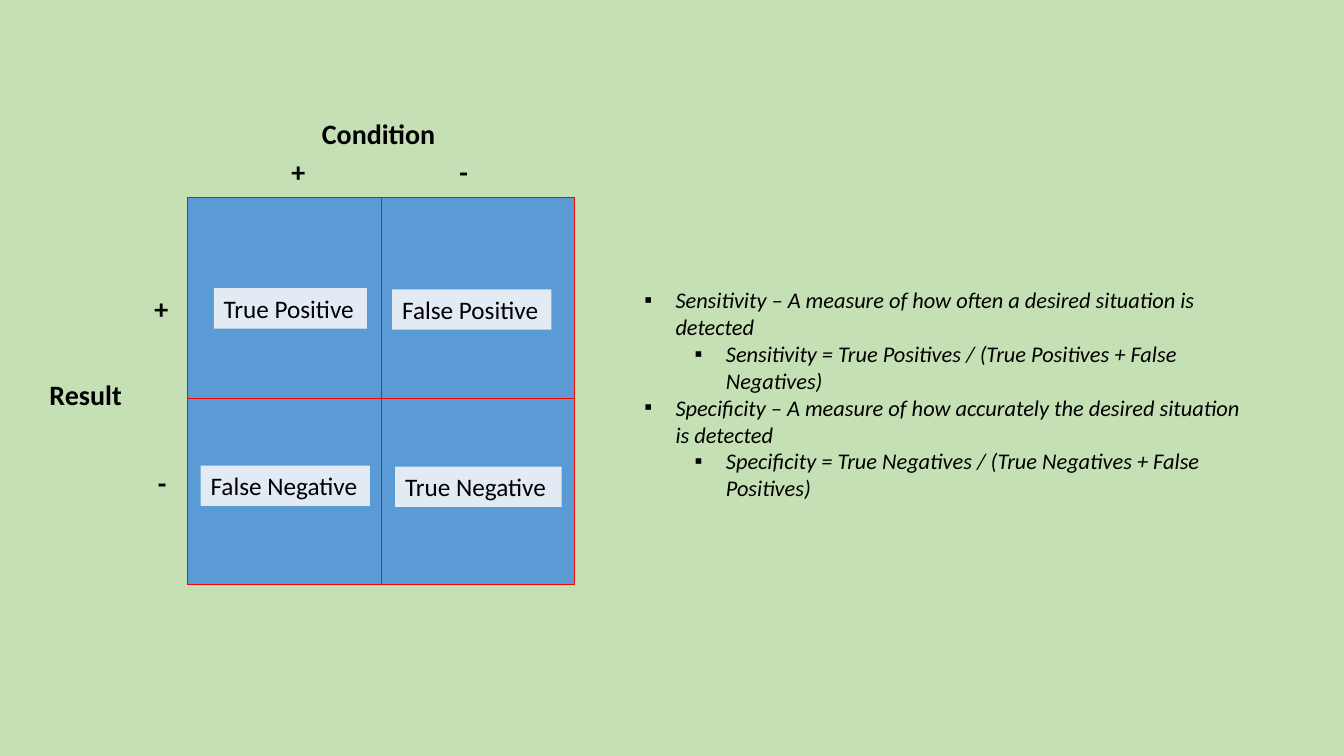
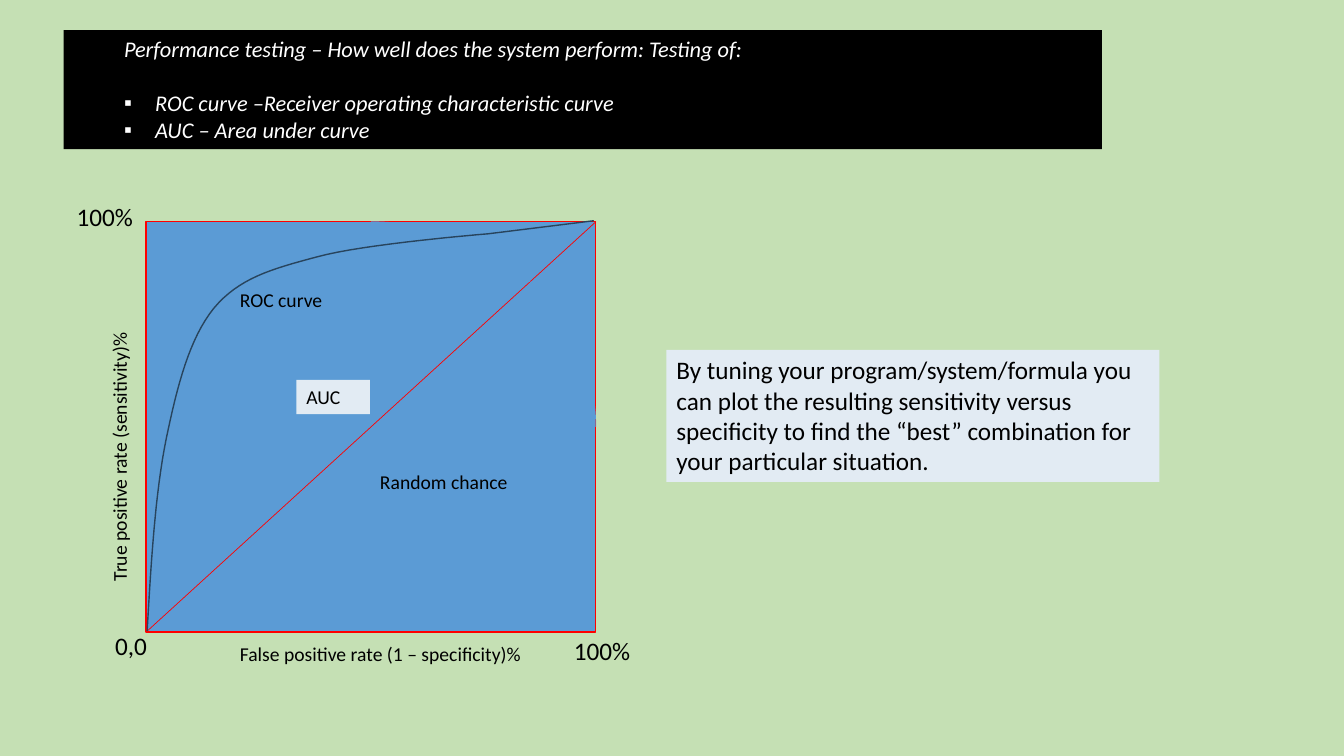
import lxml.etree
import pptx
import pptx.dml.color
import pptx.enum.shapes
import pptx.enum.text
import pptx.oxml.ns
import pptx.util

SHAPE = pptx.enum.shapes.MSO_SHAPE
ALIGN = pptx.enum.text.PP_ALIGN
INCH = pptx.util.Inches

# Shared look
FONT = "Calibri"
GREEN, BLUE, PALE, RED = "C5E0B4", "5B9BD5", "E2EBF3", "FF0000"
BLACK, WHITE, CURVE_COLOUR = "000000", "FFFFFF", "28445D"
LABEL_HEIGHT, SMALL_HEIGHT = 0.4, 0.34
LINE_HEIGHT = 19.5  # one line of 16 pt text, in points

# Slide 1 content: label positions are left, top, width
MATRIX = (1.86, 1.96, 3.84, 3.84)
FIRST_COLUMN, FIRST_ROW = 1.92, 1.99
AXIS_LABELS = [
    ("Condition", 2.78, 1.11, 1.95),
    ("+", 2.58, 1.48, 0.76),
    ("-", 4.22, 1.48, 0.76),
    ("Result", 0.17, 3.7, 1.36),
    ("+", 1.22, 2.84, 0.76),
    ("-", 1.23, 4.57, 0.76),
]
OUTCOMES = [
    ("True Positive", 2.12, 2.86, 1.52),
    ("False Positive", 3.89, 2.87, 1.58),
    ("False Negative", 1.99, 4.62, 1.68),
    ("True Negative", 3.92, 4.63, 1.65),
]
# List items: level, text, bulleted
DEFINITIONS = [
    (0, "Sensitivity – A measure of how often a desired situation is detected", True),
    (1, "Sensitivity = True Positives / (True Positives + False Negatives)", True),
    (0, "Specificity – A measure of how accurately the desired situation is detected", True),
    (1, "Specificity = True Negatives / (True Negatives + False Positives)", True),
]

# Slide 2 content
TESTING = [
    (0, "Performance testing – How well does the system perform: Testing of:", False),
    (0, "ROC curve –Receiver operating characteristic curve", True),
    (0, "AUC – Area under curve", True),
]
PLOT = (1.45, 2.2, 4.46, 4.07)
CURVE_START = (1.46, 6.26)
CURVE_SEGMENTS = [
    ((1.5, 5.57), (1.54, 4.89), (1.65, 4.35)),
    ((1.76, 3.82), (1.88, 3.36), (2.12, 3.06)),
    ((2.37, 2.76), (2.69, 2.67), (3.14, 2.55)),
    ((3.6, 2.42), (4.84, 2.32), (4.84, 2.32)),
]
CURVE_END = (5.89, 2.19)
PLOT_LABELS = [
    ("Random chance", (3.67, 4.61, 1.55), {}),
    ("AUC", (2.94, 3.77, 0.73), {"fill": PALE}),
    ("ROC curve", (2.28, 2.81, 1.55), {}),
    ("True positive rate (sensitivity)%", (-0.34, 4.17, 3.05), {"rotation": 270}),
    ("False positive rate (1 – specificity)%", (2.28, 6.32, 3.11), {}),
]
AXIS_ENDS = [("0,0", 0.89, 6.2), ("100%", 5.56, 6.25), ("100%", 0.63, 1.95)]
ADVICE = (
    "By tuning your program/system/formula you can plot the resulting "
    "sensitivity versus specificity to find the “best” combination for "
    "your particular situation."
)


def colour(value):
    return pptx.dml.color.RGBColor.from_string(value)


def paint(shape, fill=None, line=None, width=1):
    """Set the fill and outline of a shape."""
    shape.shadow.inherit = False
    if fill:
        shape.fill.solid()
        shape.fill.fore_color.rgb = colour(fill)
    else:
        shape.fill.background()
    if line:
        shape.line.color.rgb = colour(line)
        shape.line.width = pptx.util.Pt(width)
    else:
        shape.line.fill.background()


def add_run(paragraph, text, size, color=BLACK, bold=False, italic=False):
    run = paragraph.add_run()
    run.text = text
    run.font.name = FONT
    run.font.size = pptx.util.Pt(size)
    run.font.color.rgb = colour(color)
    run.font.bold, run.font.italic = bold, italic


def prepare_frame(shape):
    frame = shape.text_frame
    frame.word_wrap = True
    frame.auto_size = pptx.enum.text.MSO_AUTO_SIZE.NONE
    frame.vertical_anchor = pptx.enum.text.MSO_ANCHOR.TOP
    return frame


def add_text(shapes, text, box, fill=None, rotation=0, align=ALIGN.LEFT, **style):
    """Add one paragraph in a text box, or in a rectangle when it has a fill."""
    lengths = [INCH(value) for value in box]
    if fill:
        shape = shapes.add_shape(SHAPE.RECTANGLE, *lengths)
        paint(shape, fill)
    else:
        shape = shapes.add_textbox(*lengths)
    shape.rotation = rotation
    paragraph = prepare_frame(shape).paragraphs[0]
    paragraph.alignment = align
    add_run(paragraph, text, **style)


def add_box(shapes, kind, box, **look):
    shape = shapes.add_shape(kind, *[INCH(value) for value in box])
    paint(shape, **look)


def add_line(shapes, start, end):
    connector = shapes.add_connector(
        pptx.enum.shapes.MSO_CONNECTOR.STRAIGHT,
        *[INCH(value) for value in start + end])
    connector.line.color.rgb = colour(RED)
    connector.line.width = pptx.util.Pt(0.5)
    properties = connector.element.spPr
    lxml.etree.SubElement(properties, pptx.oxml.ns.qn("a:effectLst"))


def fill_list(placeholder, items, box, color=BLACK, gap_after_heading=0):
    """Move the body placeholder and write the list in it."""
    placeholder.left, placeholder.top, placeholder.width, placeholder.height = [
        INCH(value) for value in box]
    frame = prepare_frame(placeholder)
    for index, (level, text, bulleted) in enumerate(items):
        paragraph = frame.add_paragraph() if index else frame.paragraphs[0]
        paragraph.level = level
        paragraph.line_spacing = 1.0
        after_heading = index and not items[index - 1][2]
        paragraph.space_before = pptx.util.Pt(gap_after_heading if after_heading else 0)
        properties = paragraph._p.get_or_add_pPr()
        hanging = 0.31 if bulleted else 0
        properties.set("marL", str(INCH(0.5 * (level + 1) + hanging)))
        properties.set("indent", str(-INCH(hanging)))
        tag = "a:buChar" if bulleted else "a:buNone"
        bullet = lxml.etree.SubElement(properties, pptx.oxml.ns.qn(tag))
        if bulleted:
            bullet.set("char", "▪")
        add_run(paragraph, text, size=16, color=color, italic=True)


def curve_points(steps=16):
    """Sample the cubic segments of the ROC curve, in inches."""
    points, start = [CURVE_START], CURVE_START
    for first, second, end in CURVE_SEGMENTS:
        for step in range(1, steps + 1):
            t = step / steps
            u = 1 - t
            points.append(tuple(
                u**3 * a + 3 * u * u * t * b + 3 * u * t * t * c + t**3 * d
                for a, b, c, d in zip(start, first, second, end)))
        start = end
    return points + [CURVE_END]


def add_curve(shapes, points):
    """Draw an open line; the builder keeps whole units, so points are in EMU."""
    start, *others = [(INCH(x), INCH(y)) for x, y in points]
    builder = shapes.build_freeform(*start)
    builder.add_line_segments(others, close=False)
    paint(builder.convert_to_shape(), line=CURVE_COLOUR)


def add_slide(presentation):
    """Add a slide that keeps only its body placeholder."""
    slide = presentation.slides.add_slide(presentation.slide_layouts[1])
    title = slide.shapes.title.element
    title.getparent().remove(title)
    return slide, slide.placeholders[1]


def build_matrix_slide(presentation):
    slide, body = add_slide(presentation)
    fill_list(body, DEFINITIONS, (5.79, 2.79, 6.67, 2.26))

    # Two by two matrix
    shapes = slide.shapes.add_group_shape().shapes
    left, top, width, height = MATRIX
    middle_x, middle_y = left + FIRST_COLUMN, top + FIRST_ROW
    add_box(shapes, SHAPE.RECTANGLE, MATRIX, fill=BLUE, line=RED)
    add_line(shapes, (middle_x, top), (middle_x, top + height))
    add_line(shapes, (left + width, middle_y), (left, middle_y))

    # Labels
    for text, *place in AXIS_LABELS:
        add_text(shapes, text, (*place, 0.44), size=20, bold=True, align=ALIGN.CENTER)
    for text, *place in OUTCOMES:
        add_text(shapes, text, (*place, LABEL_HEIGHT), size=18, fill=PALE)


def build_roc_slide(presentation):
    slide, body = add_slide(presentation)
    shapes = slide.shapes
    paint(body, BLACK)
    fill_list(body, TESTING, (0.63, 0.3, 10.3, 1.18), WHITE, LINE_HEIGHT)

    # Plot area, chance line and curve
    left, top, width, height = PLOT
    add_box(shapes, SHAPE.RECTANGLE, PLOT, fill=BLUE, line=RED)
    add_line(shapes, (left, top + height), (left + width, top))
    add_box(shapes, SHAPE.ARC, PLOT, line=BLUE, width=0.5)
    add_curve(shapes, curve_points())

    # Labels and advice
    for text, place, look in PLOT_LABELS:
        add_text(shapes, text, (*place, SMALL_HEIGHT), size=14, **look)
    for text, *place in AXIS_ENDS:
        add_text(shapes, text, (*place, 0.82, LABEL_HEIGHT), size=18, align=ALIGN.CENTER)
    add_text(shapes, ADVICE, (6.61, 3.47, 4.89, 1.31), size=18, fill=PALE)


def main():
    presentation = pptx.Presentation()
    presentation.slide_width, presentation.slide_height = INCH(13.33), INCH(7.5)
    background = presentation.slide_master.background.fill
    background.solid()
    background.fore_color.rgb = colour(GREEN)
    build_matrix_slide(presentation)
    build_roc_slide(presentation)
    presentation.save("out.pptx")


if __name__ == "__main__":
    main()
